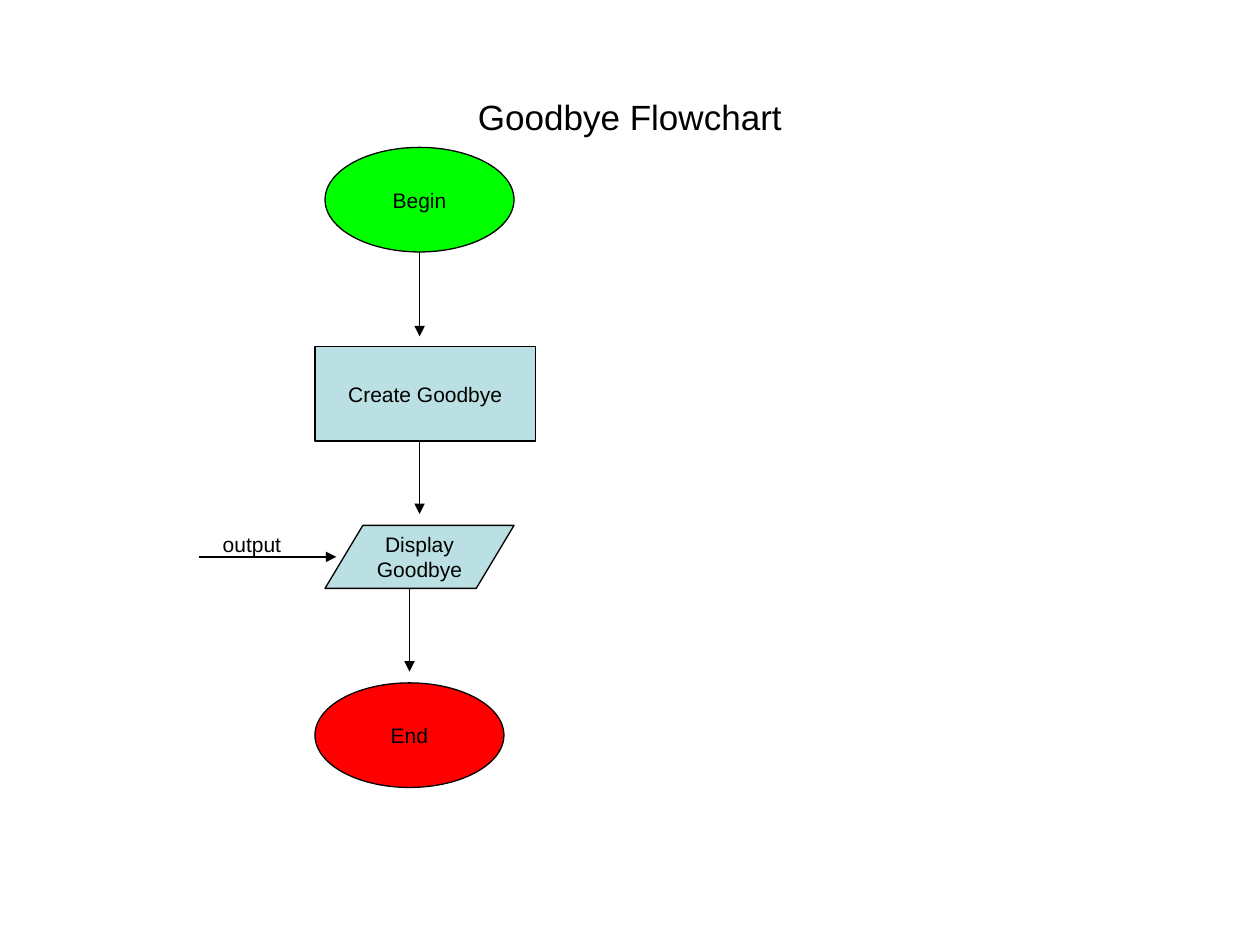
import pptx
import pptx.util
import pptx.dml.color
import pptx.enum.shapes
import pptx.enum.text
import pptx.oxml.ns
from dataclasses import dataclass
from lxml import etree
from pptx.util import Inches


@dataclass(frozen=True)
class Theme:
    font: str = "Arial"
    title_size: int = 20
    label_size: int = 12
    line_width: float = 0.75
    ink: str = "000000"
    begin: str = "00FF00"
    step: str = "BBE0E3"
    end: str = "FF0000"


theme = Theme()
ink = pptx.dml.color.RGBColor.from_string(theme.ink)
middle = pptx.enum.text.MSO_ANCHOR.MIDDLE
top = pptx.enum.text.MSO_ANCHOR.TOP


def write_text(shape, text, size=theme.label_size, anchor=middle, wrap=True):
    frame = shape.text_frame
    frame.text = text
    frame.word_wrap = wrap
    frame.auto_size = pptx.enum.text.MSO_AUTO_SIZE.NONE
    frame.vertical_anchor = anchor
    frame.margin_left = frame.margin_right = Inches(0.1)
    frame.margin_top = frame.margin_bottom = Inches(0.05)
    for paragraph in frame.paragraphs:
        paragraph.alignment = pptx.enum.text.PP_ALIGN.CENTER
        paragraph.font.name = theme.font
        paragraph.font.size = pptx.util.Pt(size)
        paragraph.font.color.rgb = ink


presentation = pptx.Presentation()
presentation.slide_width = Inches(10)
presentation.slide_height = Inches(7.5)
slide = presentation.slides.add_slide(presentation.slide_layouts[5])

title = slide.shapes.title
title.left, title.top = Inches(0.5), Inches(0.3)
title.width, title.height = Inches(9), Inches(1.25)
write_text(title, "Goodbye Flowchart", size=theme.title_size)

kinds = pptx.enum.shapes.MSO_SHAPE
steps = [
    ("Begin", kinds.FLOWCHART_CONNECTOR, theme.begin, 2.58, 1.17, 1.5, 0.83, False),
    ("Create Goodbye", kinds.RECTANGLE, theme.step, 2.5, 2.75, 1.75, 0.75, False),
    ("Display\nGoodbye", kinds.FLOWCHART_DATA, theme.step, 2.58, 4.17, 1.5, 0.5, True),
    ("End", kinds.FLOWCHART_CONNECTOR, theme.end, 2.5, 5.42, 1.5, 0.83, False),
]
for text, kind, color, left, upper, width, height, wrap in steps:
    shape = slide.shapes.add_shape(
        kind, Inches(left), Inches(upper), Inches(width), Inches(height)
    )
    shape.shadow.inherit = False
    shape.fill.solid()
    shape.fill.fore_color.rgb = pptx.dml.color.RGBColor.from_string(color)
    shape.line.color.rgb = ink
    shape.line.width = pptx.util.Pt(theme.line_width)
    write_text(shape, text, wrap=wrap)

output_label = slide.shapes.add_textbox(
    Inches(1.67), Inches(4.17), Inches(0.66), Inches(0.3)
)
write_text(output_label, "output", anchor=top, wrap=False)

arrows = [
    (3.33, 2, 3.33, 2.67),
    (3.33, 3.5, 3.33, 4.08),
    (1.58, 4.42, 2.67, 4.42),
    (3.25, 4.67, 3.25, 5.33),
]
for ends in arrows:
    arrow = slide.shapes.add_connector(
        pptx.enum.shapes.MSO_CONNECTOR.STRAIGHT, *map(Inches, ends)
    )
    arrow.line.color.rgb = ink
    arrow.line.width = pptx.util.Pt(theme.line_width)
    line = arrow.line._get_or_add_ln()
    etree.SubElement(line, pptx.oxml.ns.qn("a:tailEnd"), type="triangle")
    etree.SubElement(arrow._element.spPr, pptx.oxml.ns.qn("a:effectLst"))

presentation.save("out.pptx")
